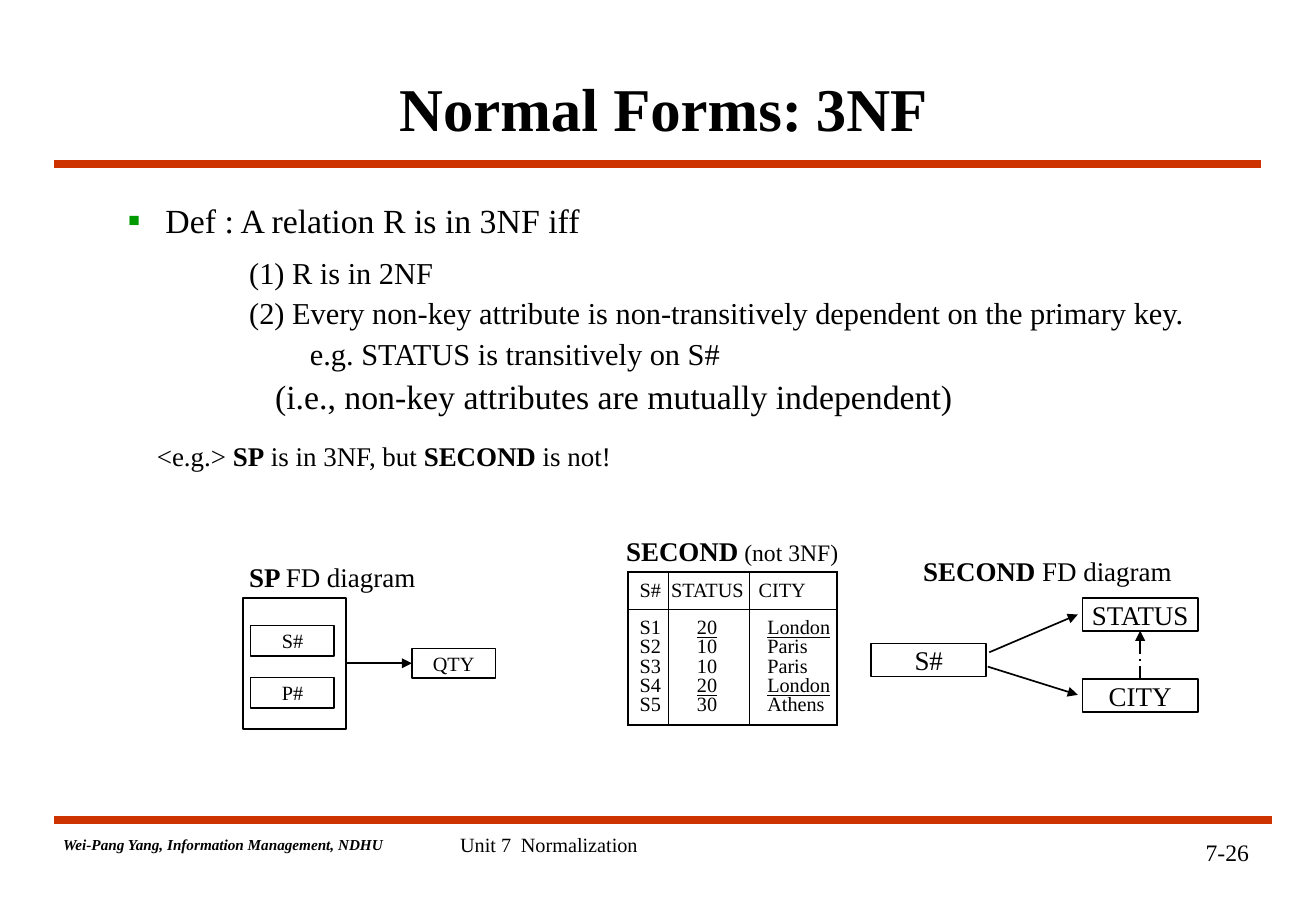
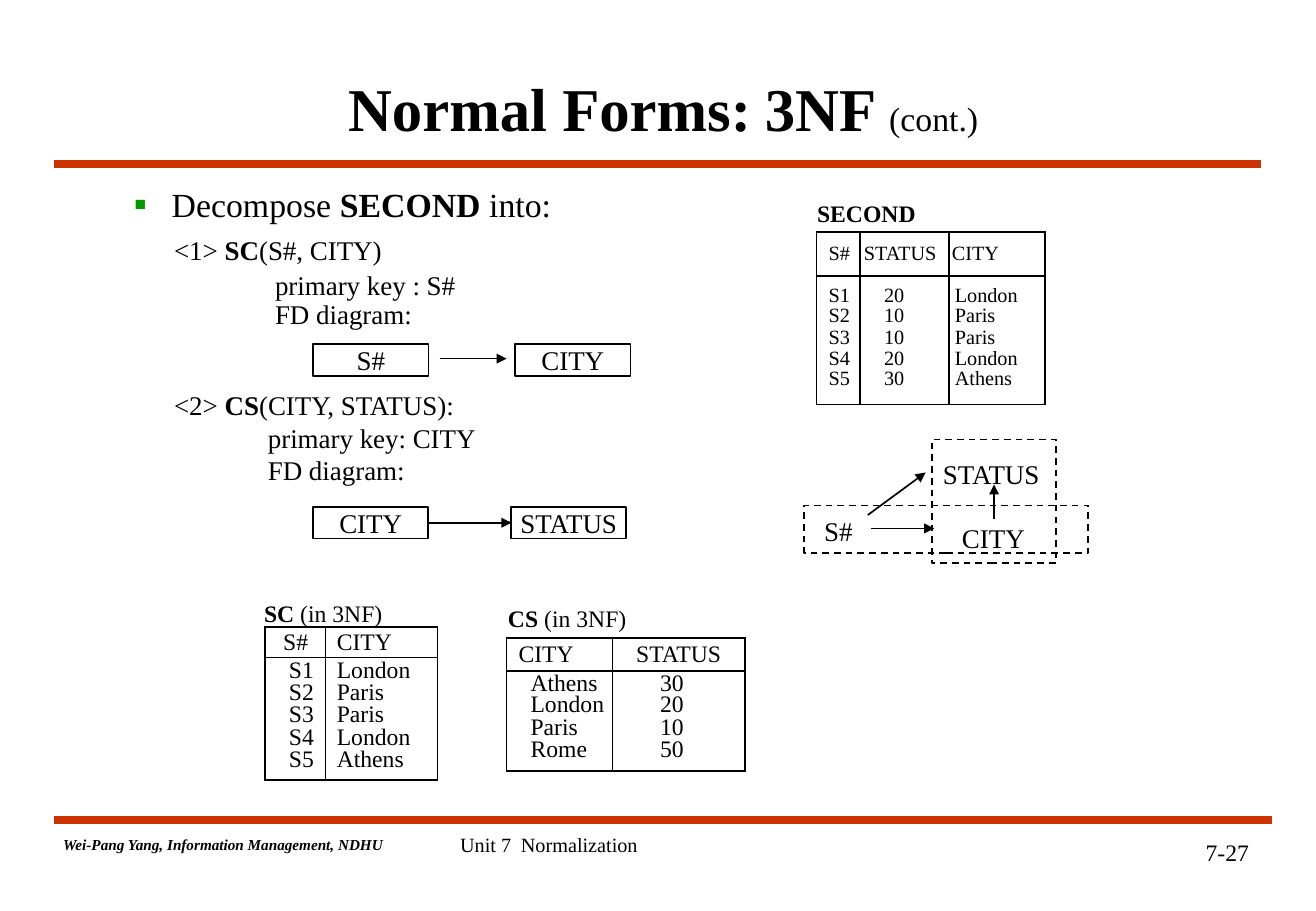
from dataclasses import dataclass
from typing import NamedTuple, Optional

from lxml import etree
from pptx import Presentation
from pptx.dml.color import RGBColor
from pptx.enum import dml, shapes, text
from pptx.oxml import ns
from pptx.util import Cm, Pt

BLACK = RGBColor(0x00, 0x00, 0x00)
WHITE = RGBColor(0xFF, 0xFF, 0xFF)
RULE_RED = RGBColor(0xCC, 0x33, 0x00)
BULLET_GREEN = "009900"
FONT = "Times New Roman"
LEFT, CENTER, RIGHT = text.PP_ALIGN.LEFT, text.PP_ALIGN.CENTER, text.PP_ALIGN.RIGHT
TOP, MIDDLE, BOTTOM = text.MSO_ANCHOR.TOP, text.MSO_ANCHOR.MIDDLE, text.MSO_ANCHOR.BOTTOM
DASH, LONG_DASH_DOT = dml.MSO_LINE.DASH, dml.MSO_LINE.LONG_DASH_DOT
SIDE_TOP, SIDE_LEFT, SIDE_BOTTOM, SIDE_RIGHT = range(4)


class Run(NamedTuple):
    text: str
    bold: bool = False
    size: Optional[float] = None
    underline: bool = False
    italic: bool = False


@dataclass
class Par:
    runs: list[Run]
    size: float = 16
    indent: float = 0
    before: float = 0
    spacing: float = 1
    align: int = LEFT
    bullet: bool = False
    tab: float = 0


class Box(NamedTuple):
    x: float
    y: float
    w: float
    h: float
    label: str = ""
    size: float = 16


@dataclass
class Relation:
    """A ruled table; the first and last data rows are taller than the pitch."""
    x: float
    y: float
    widths: list[float]
    header_height: float
    first_height: float
    pitch: float
    last_height: float
    header_pads: list[float]
    data_pads: list[float]
    header: list[str]
    rows: list[list[str]]
    size: float = 12
    underlined: tuple[int, ...] = ()


def sub(parent, tag: str, **attributes: str):
    return etree.SubElement(parent, ns.qn(tag), attributes)


def fill_frame(frame, pars: list[Par], anchor=TOP) -> None:
    frame.margin_left = frame.margin_right = frame.margin_top = frame.margin_bottom = 0
    frame.word_wrap = True
    frame.vertical_anchor = anchor
    write(frame, pars)


def write(frame, pars: list[Par]) -> None:
    for index, par in enumerate(pars):
        paragraph = frame.add_paragraph() if index else frame.paragraphs[0]
        paragraph.alignment = par.align
        paragraph.line_spacing = par.spacing
        if par.before:
            paragraph.space_before = Pt(par.before)
        props = paragraph._p.get_or_add_pPr()
        props.set("marL", str(Cm(par.indent)))
        props.set("indent", str(Cm(-0.79 if par.bullet else 0)))
        if par.bullet:
            sub(sub(props, "a:buClr"), "a:srgbClr", val=BULLET_GREEN)
            sub(props, "a:buSzPct", val="110000")
            sub(props, "a:buFont", typeface=FONT)
            sub(props, "a:buChar", char="▪")
        if par.tab:
            sub(sub(props, "a:tabLst"), "a:tab", pos=str(Cm(par.tab)), algn="l")
        for part in par.runs:
            run = paragraph.add_run()
            run.text = part.text
            font = run.font
            font.name, font.size = FONT, Pt(part.size or par.size)
            font.bold, font.italic, font.underline = part.bold, part.italic, part.underline
            font.color.rgb = BLACK


def add_text(slide, x: float, y: float, pars: list[Par], *, w: float = 9, h: float = 0.8,
             anchor=TOP) -> None:
    box = slide.shapes.add_textbox(Cm(x), Cm(y), Cm(w), Cm(h))
    fill_frame(box.text_frame, pars, anchor)


def add_box(slide, box: Box, *, dashed: bool = False):
    shape = slide.shapes.add_shape(shapes.MSO_SHAPE.RECTANGLE,
                                   Cm(box.x), Cm(box.y), Cm(box.w), Cm(box.h))
    shape.shadow.inherit = False
    shape.line.color.rgb, shape.line.width = BLACK, Pt(1)
    if dashed:
        shape.fill.background()
        shape.line.dash_style = DASH
    else:
        shape.fill.solid()
        shape.fill.fore_color.rgb = WHITE
    if box.label:
        fill_frame(shape.text_frame, [Par([Run(box.label)], box.size, align=CENTER)], MIDDLE)
    return shape


def add_line(slide, x1: float = 0, y1: float = 0, x2: float = 0, y2: float = 0, *,
             color=BLACK, width: float = 1, arrow: bool = True, dash=None):
    line = slide.shapes.add_connector(shapes.MSO_CONNECTOR.STRAIGHT,
                                      Cm(x1), Cm(y1), Cm(x2), Cm(y2))
    line.line.color.rgb, line.line.width = color, Pt(width)
    if dash:
        line.line.dash_style = dash
    if arrow:
        sub(line.line._get_or_add_ln(), "a:tailEnd", type="triangle")
    sub(line._element.spPr, "a:effectLst")
    return line


def join(slide, source, source_side: int, target, target_side: int, dash=None) -> None:
    line = add_line(slide, dash=dash)
    line.begin_connect(source, source_side)
    line.end_connect(target, target_side)


def set_borders(cell, visible: str) -> None:
    """Draw the sides named in visible (from L, R, T, B) and clear the others."""
    props = cell._tc.get_or_add_tcPr()
    for position, side in enumerate("LRTB"):
        border = etree.Element(ns.qn(f"a:ln{side}"), w=str(Pt(1)))
        if side in visible:
            sub(sub(border, "a:solidFill"), "a:srgbClr", val=str(BLACK))
        else:
            sub(border, "a:noFill")
        props.insert(position, border)


def add_relation(slide, relation: Relation) -> None:
    middle = [relation.pitch] * (len(relation.rows) - 2)
    heights = [relation.header_height, relation.first_height, *middle, relation.last_height]
    last = len(heights) - 1
    table = slide.shapes.add_table(len(heights), len(relation.widths),
                                   Cm(relation.x), Cm(relation.y),
                                   Cm(sum(relation.widths)), Cm(sum(heights))).table
    table.first_row = table.horz_banding = False
    for column, width in zip(table.columns, relation.widths):
        column.width = Cm(width)
    for r, (height, values) in enumerate(zip(heights, [relation.header, *relation.rows])):
        table.rows[r].height = Cm(height)
        pads = relation.data_pads if r else relation.header_pads
        for c, value in enumerate(values):
            cell = table.cell(r, c)
            cell.margin_left, cell.margin_right = Cm(pads[c]), 0
            cell.margin_top = cell.margin_bottom = 0
            cell.vertical_anchor = {1: BOTTOM, last: TOP}.get(r, MIDDLE)
            cell.fill.solid()
            cell.fill.fore_color.rgb = WHITE
            set_borders(cell, "LR" + ("TB" if r == 0 else "T" if r == 1 else "B" if r == last else ""))
            run = Run(value, underline=r in relation.underlined and c > 0)
            write(cell.text_frame, [Par([run], relation.size, spacing=0.8 if r else 1)])


def add_page(deck, title: list[Run], number: str):
    """A blank slide with the shared rules, title and footer."""
    slide = deck.slides.add_slide(deck.slide_layouts[6])
    for y, end in ((3.43, 26.37), (17.15, 26.59)):
        add_line(slide, 1.14, y, end, y, color=RULE_RED, width=4.5, arrow=False)
    add_text(slide, 2.51, 1.07, [Par(title, 36, align=CENTER)], w=22.71, h=2.34, anchor=MIDDLE)
    author = Run("Wei-Pang Yang, Information Management, NDHU", bold=True, italic=True)
    add_text(slide, 1.32, 17.46, [Par([author], 9)], w=8)
    add_text(slide, 9.62, 17.41, [Par([Run("Unit 7\tNormalization")], 12, tab=1.38)])
    add_text(slide, 22.11, 17.52, [Par([Run(number)], 14, align=RIGHT)], w=4)
    return slide


TITLE = [Run("Normal Forms:", True), Run(" ", True, 32), Run("3NF", True)]
SUPPLIERS = [["S1", "20", "London"], ["S2", "10", "Paris"], ["S3", "10", "Paris"],
             ["S4", "20", "London"], ["S5", "30", "Athens"]]
SECOND_HEADER = ["S#", "STATUS", "CITY"]


def build_definition(deck) -> None:
    slide = add_page(deck, TITLE, "7-26")
    add_text(slide, 1.4, 4.18, [
        Par([Run("Def : A relation R is in 3NF iff")], 20, 2.06, bullet=True),
        Par([Run("(1) R is in 2NF")], 18, 3.81, 8),
        Par([Run("(2) Every non-key attribute is non-transitively dependent on the primary key.")],
            18, 3.81, 2.4),
        Par([Run("e.g. STATUS is transitively on S#")], 18, 5.08, 2.4),
        Par([Run("(i.e., non-key attributes are mutually independent)")], 20, 4.35, 2.4),
    ], w=25, h=4.6)
    add_text(slide, 3.28, 9.19, [Par([Run("<e.g.> "), Run("SP", True), Run(" is in 3NF, but "),
                                      Run("SECOND", True), Run(" is not!")])], w=12)

    add_text(slide, 5.21, 11.72, [Par([Run("SP ", True), Run("FD diagram")])], w=5)
    key = add_box(slide, Box(5.08, 12.5, 2.16, 2.74))
    for y, label in ((13.08, "S#"), (14.17, "P#")):
        add_box(slide, Box(5.24, y, 1.75, 0.64, label, 12))
    quantity = add_box(slide, Box(8.61, 13.56, 1.75, 0.62, "QTY", 12))
    join(slide, key, SIDE_RIGHT, quantity, SIDE_LEFT)

    add_text(slide, 13.09, 11.18, [Par([Run("SECOND", True), Run(" (not 3NF)", size=14)])], w=6)
    add_relation(slide, Relation(
        13.13, 11.96, [0.84, 1.7, 1.83], 0.79, 0.6, 0.41, 0.58,
        [0.24, 0.06, 0.19], [0.24, 0.6, 0.37], SECOND_HEADER, SUPPLIERS, underlined=(1, 4)))

    add_text(slide, 19.3, 11.59, [Par([Run("SECOND ", True), Run("FD diagram")])], w=7)
    add_box(slide, Box(18.21, 13.46, 2.41, 0.69, "S#"))
    city = add_box(slide, Box(22.63, 14.2, 2.41, 0.69, "CITY"))
    status = add_box(slide, Box(22.63, 12.5, 2.41, 0.69, "STATUS"))
    add_line(slide, 20.65, 13.94, 22.53, 14.53)
    add_line(slide, 20.68, 13.64, 22.53, 12.85)
    join(slide, city, SIDE_TOP, status, SIDE_BOTTOM, dash=LONG_DASH_DOT)


def build_decomposition(deck) -> None:
    slide = add_page(deck, [*TITLE, Run(" ", True), Run("(cont.)", size=20)], "7-27")
    add_text(slide, 1.53, 3.85, [Par([Run("Decompose "), Run("SECOND", True), Run(" into:")],
                                     20, 2.06, bullet=True)], w=14)
    add_text(slide, 3.64, 4.88, [
        Par([Run("<1> "), Run("SC", True), Run("(S#, CITY)")]),
        Par([Run("primary key : S#")], indent=2.11, before=1.8),
        Par([Run("FD diagram:")], indent=2.11, spacing=0.9),
    ], h=2)
    add_text(slide, 3.64, 8.12, [
        Par([Run("<2> "), Run("CS", True), Run("(CITY, STATUS):")]),
        Par([Run("primary key: CITY")], indent=1.96, before=0.5),
        Par([Run("FD diagram:")], indent=1.96),
    ], h=2)

    add_box(slide, Box(6.55, 7.2, 2.41, 0.66, "S#"))
    add_box(slide, Box(10.77, 7.2, 2.41, 0.66, "CITY"))
    add_line(slide, 9.19, 7.5, 10.59, 7.5)
    city = add_box(slide, Box(6.55, 10.6, 2.4, 0.66, "CITY"))
    status = add_box(slide, Box(10.69, 10.6, 2.4, 0.66, "STATUS"))
    join(slide, city, SIDE_RIGHT, status, SIDE_LEFT)

    add_text(slide, 5.52, 12.52, [Par([Run("SC", True), Run(" (in 3NF)")], 14)], w=4)
    add_relation(slide, Relation(
        5.54, 13.11, [1.27, 2.34], 0.64, 0.52, 0.47, 0.62, [0.38, 0.23], [0.5, 0.23],
        ["S#", "CITY"], [[supplier, town] for supplier, _, town in SUPPLIERS], 14))
    add_text(slide, 10.62, 12.62, [Par([Run("CS ", True), Run("(in 3NF)")], 14)], w=4)
    add_relation(slide, Relation(
        10.59, 13.34, [2.21, 2.77], 0.69, 0.51, 0.47, 0.63, [0.25, 0.5], [0.5, 1],
        ["CITY", "STATUS"],
        [["Athens", "30"], ["London", "20"], ["Paris", "10"], ["Rome", "50"]], 14))

    add_text(slide, 17.08, 4.17, [Par([Run("SECOND", True)], 14)], w=4)
    add_relation(slide, Relation(
        17.07, 4.85, [0.91, 1.86, 2.01], 0.92, 0.64, 0.45, 0.7,
        [0.25, 0.08, 0.06], [0.25, 0.5, 0.12], SECOND_HEADER, SUPPLIERS))

    for x, y, label in ((17.23, 10.77, "S#"), (19.71, 9.57, "STATUS"), (20.11, 10.9, "CITY")):
        add_text(slide, x, y, [Par([Run(label)])], w=2.3)
    for outline in (Box(19.48, 9.19, 2.59, 2.59), Box(16.81, 10.57, 5.94, 0.99)):
        add_box(slide, outline, dashed=True)
    for ends in ((18.14, 10.77, 19.35, 9.88), (20.78, 10.85, 20.78, 10.13),
                 (18.21, 11.05, 19.53, 11.05)):
        add_line(slide, *ends)


def main() -> None:
    deck = Presentation()
    deck.slide_width, deck.slide_height = Cm(27.51), Cm(19.05)
    build_definition(deck)
    build_decomposition(deck)
    deck.save("out.pptx")


if __name__ == "__main__":
    main()
